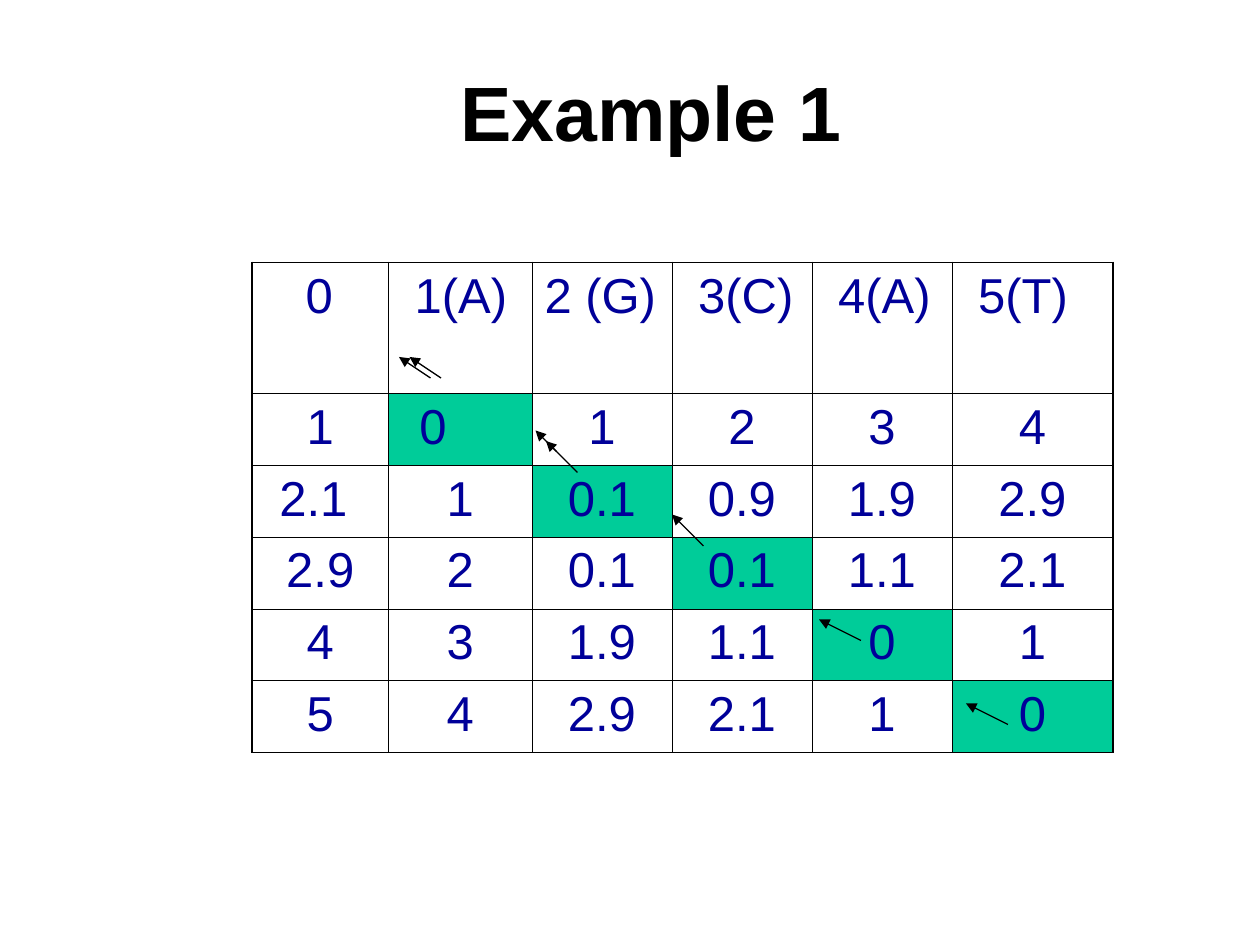
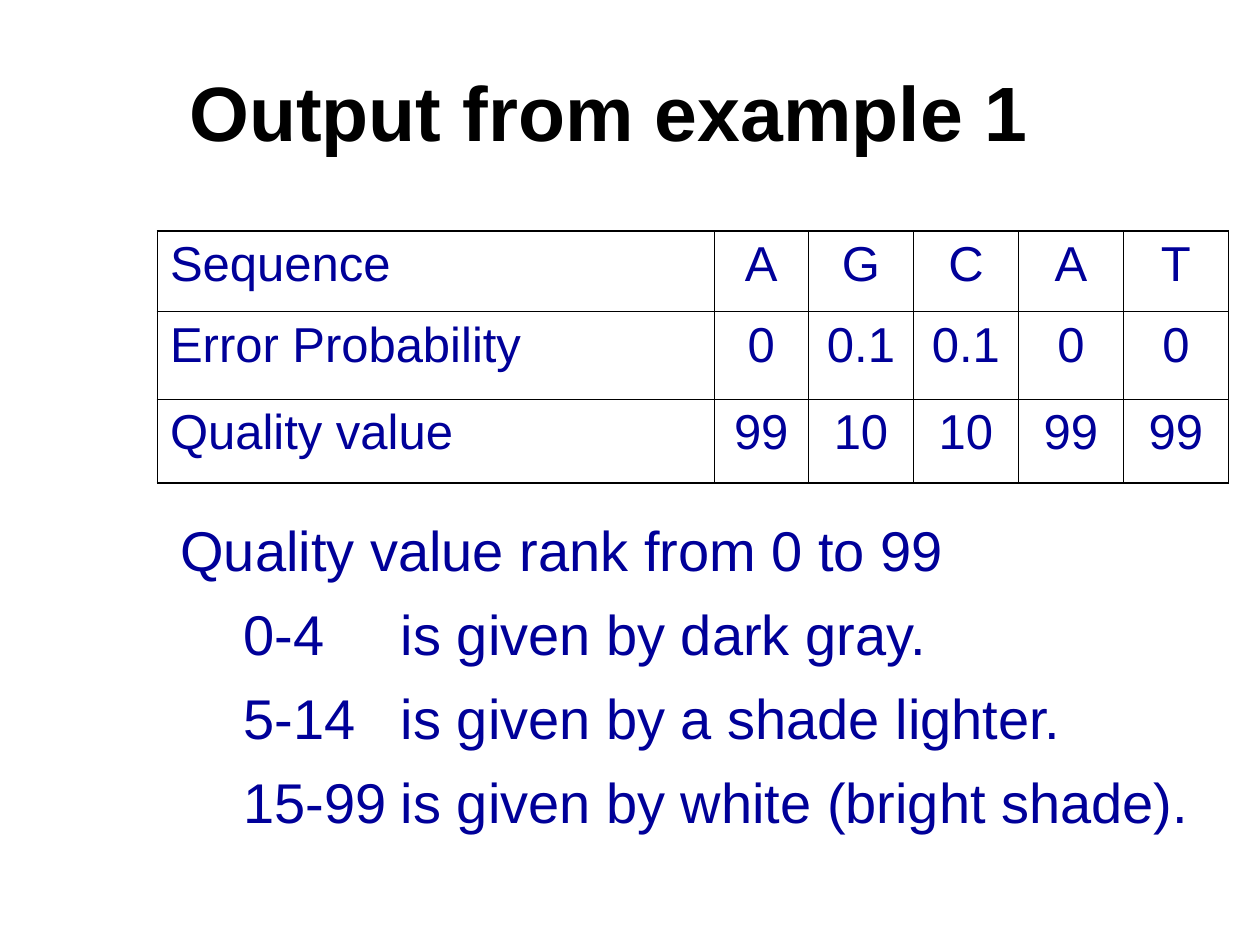
from dataclasses import dataclass, field

from lxml import etree
from pptx import Presentation
from pptx.dml.color import RGBColor
from pptx.enum import shapes, text
from pptx.oxml import ns
from pptx.util import Pt

# Shared look
BLACK = RGBColor(0, 0, 0)
NAVY = RGBColor(0, 0, 0x99)
GREEN = RGBColor(0, 0xCC, 0x99)
TITLE = {"name": "Arial", "size": Pt(44), "bold": True}
BODY = {"name": "Arial", "size": Pt(32)}
CELL = {"name": "Arial", "size": Pt(28)}
THIN, THICK = 0.45, 1.08
PAD, NUDGE = 7.2, 7.8
LEFT, MID = text.PP_ALIGN.LEFT, text.PP_ALIGN.CENTER


@dataclass
class Grid:
    left: float
    top: float
    cols: list[float]
    rows: list[float]
    cells: list[list[str]]
    lead: set[tuple[int, int]]  # left-aligned cells
    green: set[tuple[int, int]] = field(default_factory=set)
    # extra left and right margin, in nudges
    shift: dict[tuple[int, int], tuple[int, int]] = field(default_factory=dict)


@dataclass
class Arrow:
    x: float
    y: float
    dx: float
    dy: float


def style(font, look: dict, color: RGBColor) -> None:
    for key, val in look.items():
        setattr(font, key, val)
    font.color.rgb = color


def add_page(deck, name: str, left: float, width: float):
    page = deck.slides.add_slide(deck.slide_layouts[5])
    head = page.shapes.title
    box = {"left": left, "top": 18, "width": width, "height": 90}
    for key, val in box.items():
        setattr(head, key, Pt(val))
    frame = head.text_frame
    frame.text = name
    frame.vertical_anchor = text.MSO_ANCHOR.MIDDLE
    para = frame.paragraphs[0]
    para.alignment = MID
    style(para.font, TITLE, BLACK)
    return page


def add_edges(cell, widths: dict[str, float]) -> None:
    props = cell._tc.get_or_add_tcPr()
    for spot, (side, width) in enumerate(widths.items()):
        line = etree.Element(ns.qn(f"a:ln{side}"), w=str(Pt(width)))
        fill = etree.SubElement(line, ns.qn("a:solidFill"))
        etree.SubElement(fill, ns.qn("a:srgbClr"), val=str(BLACK))
        props.insert(spot, line)


def add_grid(page, grid: Grid) -> None:
    high, wide = len(grid.rows), len(grid.cols)
    table = page.shapes.add_table(
        high, wide, Pt(grid.left), Pt(grid.top),
        Pt(sum(grid.cols)), Pt(sum(grid.rows))).table
    table.first_row = table.horz_banding = False
    for col, width in zip(table.columns, grid.cols):
        col.width = Pt(width)
    for row, height in zip(table.rows, grid.rows):
        row.height = Pt(height)
    for r, line in enumerate(grid.cells):
        for c, word in enumerate(line):
            cell = table.cell(r, c)
            cell.text = word
            para = cell.text_frame.paragraphs[0]
            para.alignment = LEFT if (r, c) in grid.lead else MID
            style(para.runs[0].font, CELL, NAVY)
            near, far = grid.shift.get((r, c), (0, 0))
            cell.margin_left = Pt(PAD + near * NUDGE)
            cell.margin_right = Pt(PAD + far * NUDGE)
            if (r, c) in grid.green:
                cell.fill.solid()
                cell.fill.fore_color.rgb = GREEN
            else:
                cell.fill.background()
            outer = {"L": c == 0, "R": c == wide - 1,
                     "T": r == 0, "B": r == high - 1}
            add_edges(cell, {side: THICK if out else THIN
                             for side, out in outer.items()})


def add_arrow(page, arrow: Arrow) -> None:
    link = page.shapes.add_connector(
        shapes.MSO_CONNECTOR.STRAIGHT, Pt(arrow.x), Pt(arrow.y),
        Pt(arrow.x + arrow.dx), Pt(arrow.y + arrow.dy))
    link.line.color.rgb = BLACK
    link.line.width = Pt(0.75)
    etree.SubElement(link.line._get_or_add_ln(), ns.qn("a:tailEnd"),
                     type="triangle")
    etree.SubElement(link._element.spPr, ns.qn("a:effectLst"))


def add_notes(page, lines: list[str]) -> None:
    box = page.shapes.add_textbox(Pt(96), Pt(291), Pt(624), Pt(249))
    frame = box.text_frame
    frame.word_wrap = True
    for i, line in enumerate(lines):
        para = frame.paragraphs[0] if i == 0 else frame.add_paragraph()
        para.text = line
        if i:
            # The hanging indent lines up the text after each range
            props = para._p.get_or_add_pPr()
            props.set("marL", str(Pt(126)))
            props.set("indent", str(Pt(-90)))
            para.space_before = Pt(9.6)
        style(para.font, BODY, NAVY)


# Slide contents
SCORES = Grid(
    144, 150, [78, 82, 80, 80, 80, 92], [75] + [41] * 5,
    [["0", "1(A)", "2 (G)", "3(C)", "4(A)", "5(T)"],
     ["1", "0", "1", "2", "3", "4"],
     ["2.1", "1", "0.1", "0.9", "1.9", "2.9"],
     ["2.9", "2", "0.1", "0.1", "1.1", "2.1"],
     ["4", "3", "1.9", "1.1", "0", "1"],
     ["5", "4", "2.9", "2.1", "1", "0"]],
    lead={(0, c) for c in range(6)},
    green={(i, i) for i in range(1, 6)},
    shift={(0, 0): (3, 0), (1, 1): (0, 4), (2, 0): (0, 1),
           **{(0, c): (1, 0) for c in (1, 3, 4, 5)}})

TRACE = [Arrow(576, 414, -24, -12), Arrow(492, 366, -24, -12),
         Arrow(402, 312, -18, -18), Arrow(330, 270, -18, -18),
         Arrow(252, 216, -18, -12), Arrow(318, 258, -12, -12),
         Arrow(246, 216, -18, -12)]

OUTPUT = Grid(
    90, 132, [318, 54] + [60] * 4, [46, 50, 48],
    [["Sequence", "A", "G", "C", "A", "T"],
     ["Error Probability", "0", "0.1", "0.1", "0", "0"],
     ["Quality value", "99", "10", "10", "99", "99"]],
    lead={(r, 0) for r in range(3)})

RANKS = ["Quality value rank from 0 to 99",
         "0-4\tis given by dark gray.",
         "5-14\tis given by a shade lighter.",
         "15-99\tis given by white (bright shade)."]


def main() -> None:
    deck = Presentation()
    deck.slide_width, deck.slide_height = Pt(720), Pt(540)

    # Score matrix with its traceback
    page = add_page(deck, "Example 1", 48, 648)
    add_grid(page, SCORES)
    for arrow in TRACE:
        add_arrow(page, arrow)

    # Quality values
    page = add_page(deck, "Output from example 1", 42, 612)
    add_notes(page, RANKS)
    add_grid(page, OUTPUT)

    deck.save("out.pptx")


if __name__ == "__main__":
    main()
